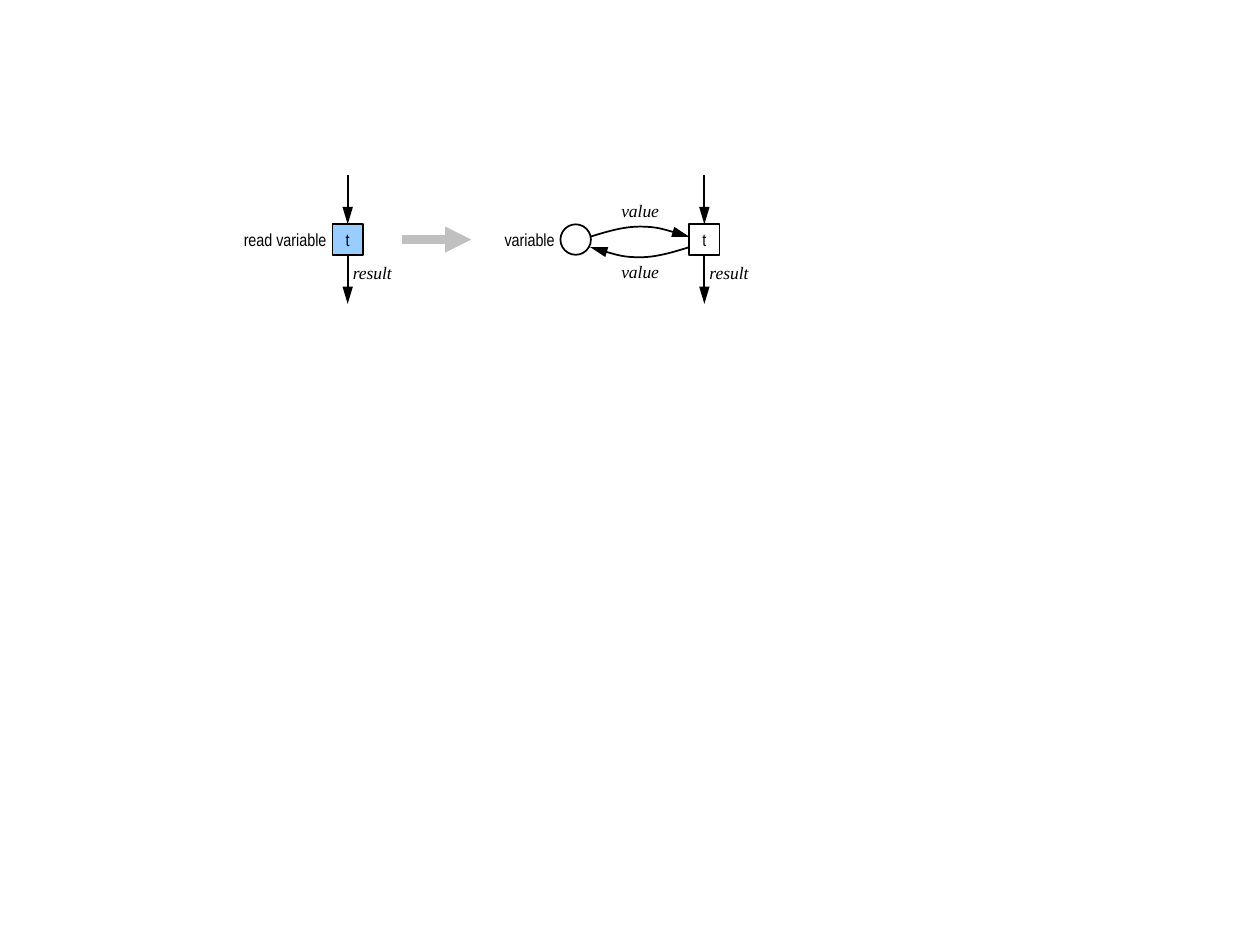
"""Draw the rewrite of a read-variable transition as a net with a place."""
from lxml.etree import SubElement
from pptx import Presentation
from pptx.dml.color import RGBColor
from pptx.enum.shapes import MSO_CONNECTOR, MSO_SHAPE
from pptx.enum.text import MSO_ANCHOR, MSO_AUTO_SIZE, PP_ALIGN
from pptx.oxml.ns import qn
from pptx.util import Pt

BLACK = RGBColor(0x00, 0x00, 0x00)
WHITE = RGBColor(0xFF, 0xFF, 0xFF)
BLUE = RGBColor(0x99, 0xCC, 0xFF)
GREY = RGBColor(0xC0, 0xC0, 0xC0)
SANS, SERIF = "Arial Narrow", "Times New Roman"

NODES = [("t", 198.7, BLUE), ("t", 402.5, WHITE)]
NAMES = [("read variable", 172.6), ("variable", 303)]
PLACE = 329
VALUES = [("value", 114.5), ("value", 149.2)]
ARCS = [(129.5, 0), (141.2, 180)]
MID, SIDE, REACH = 136.9, 17.4, 28.1
TOP, BASE = MID - SIDE / 2, MID + SIDE / 2
ARC_X, ARC_W, ARC_H = 337.2, 56.8, 5.8

deck = Presentation()
deck.slide_width, deck.slide_height = Pt(720), Pt(540)
shapes = deck.slides.add_slide(deck.slide_layouts[6]).shapes


def write(shape, text, font, align, anchor=MSO_ANCHOR.MIDDLE,
          pads=(7.2, 3.6), fit=MSO_AUTO_SIZE.NONE):
    frame = shape.text_frame
    frame.word_wrap, frame.auto_size = False, fit
    frame.vertical_anchor = anchor
    frame.margin_left = frame.margin_right = Pt(pads[0])
    frame.margin_top = frame.margin_bottom = Pt(pads[1])
    para = frame.paragraphs[0]
    para.alignment = align
    run = para.add_run()
    run.text = text
    run.font.name, run.font.size = font, Pt(10)
    run.font.italic = font == SERIF
    run.font.color.rgb = BLACK


def label(text, left, top, width, align):
    box = shapes.add_textbox(Pt(left), Pt(top), Pt(width), Pt(12.2))
    write(box, text, SERIF, align, MSO_ANCHOR.TOP, (0, 0),
          MSO_AUTO_SIZE.SHAPE_TO_FIT_TEXT)


def node(kind, x, fill):
    shape = shapes.add_shape(kind, Pt(x - SIDE / 2), Pt(TOP), Pt(SIDE), Pt(SIDE))
    shape.shadow.inherit = False
    shape.fill.solid()
    shape.fill.fore_color.rgb = fill
    shape.line.color.rgb, shape.line.width = BLACK, Pt(1)
    return shape


def head(shape, color=BLACK, width=1, size="lg"):
    shape.line.color.rgb, shape.line.width = color, Pt(width)
    SubElement(shape.line._get_or_add_ln(), qn("a:tailEnd"),
               type="triangle", w="med", len=size)


def arrow(x, y, end_x, end_y, **style):
    line = shapes.add_connector(MSO_CONNECTOR.STRAIGHT,
                                Pt(x), Pt(y), Pt(end_x), Pt(end_y))
    head(line, **style)
    SubElement(line._element.spPr, qn("a:effectLst"))
    return line


def arc(top, turn):
    spots = [(1 / 6, 0.5), (1 / 3, 0), (0.5, 0), (2 / 3, 0), (5 / 6, 0.5), (1, 1)]
    pen = shapes.build_freeform(Pt(ARC_X), Pt(top + ARC_H))
    pen.add_line_segments([(Pt(ARC_X + u * ARC_W), Pt(top + v * ARC_H))
                           for u, v in spots], close=False)
    shape = pen.convert_to_shape()
    shape.shadow.inherit = False
    shape.fill.background()
    shape.rotation = turn
    steps = list(shape._element.iter(qn("a:lnTo")))
    route = steps[0].getparent()
    for first in range(0, len(steps), 3):
        curve = SubElement(route, qn("a:cubicBezTo"))
        for step in steps[first:first + 3]:
            curve.append(step[0])
            route.remove(step)
    head(shape)


for text, x, fill in NODES:
    box = node(MSO_SHAPE.RECTANGLE, x, fill)
    write(box, text, SANS, PP_ALIGN.CENTER)
    arrow(x, TOP - REACH, x, TOP).end_connect(box, 0)
    arrow(x, BASE, x, BASE + REACH).begin_connect(box, 2)
    label("result", x + 2.9, 149.8, 23, PP_ALIGN.LEFT)

node(MSO_SHAPE.OVAL, PLACE, WHITE)

for text, left in NAMES:
    box = shapes.add_textbox(Pt(left), Pt(TOP), Pt(16.8), Pt(SIDE))
    write(box, text, SANS, PP_ALIGN.RIGHT, pads=(2.9, 0))

for top, turn in ARCS:
    arc(top, turn)

for text, top in VALUES:
    label(text, 355, top, 21.6, PP_ALIGN.CENTER)

arrow(229.7, MID, 269.3, MID, color=GREY, width=5, size="med")

deck.save("out.pptx")
